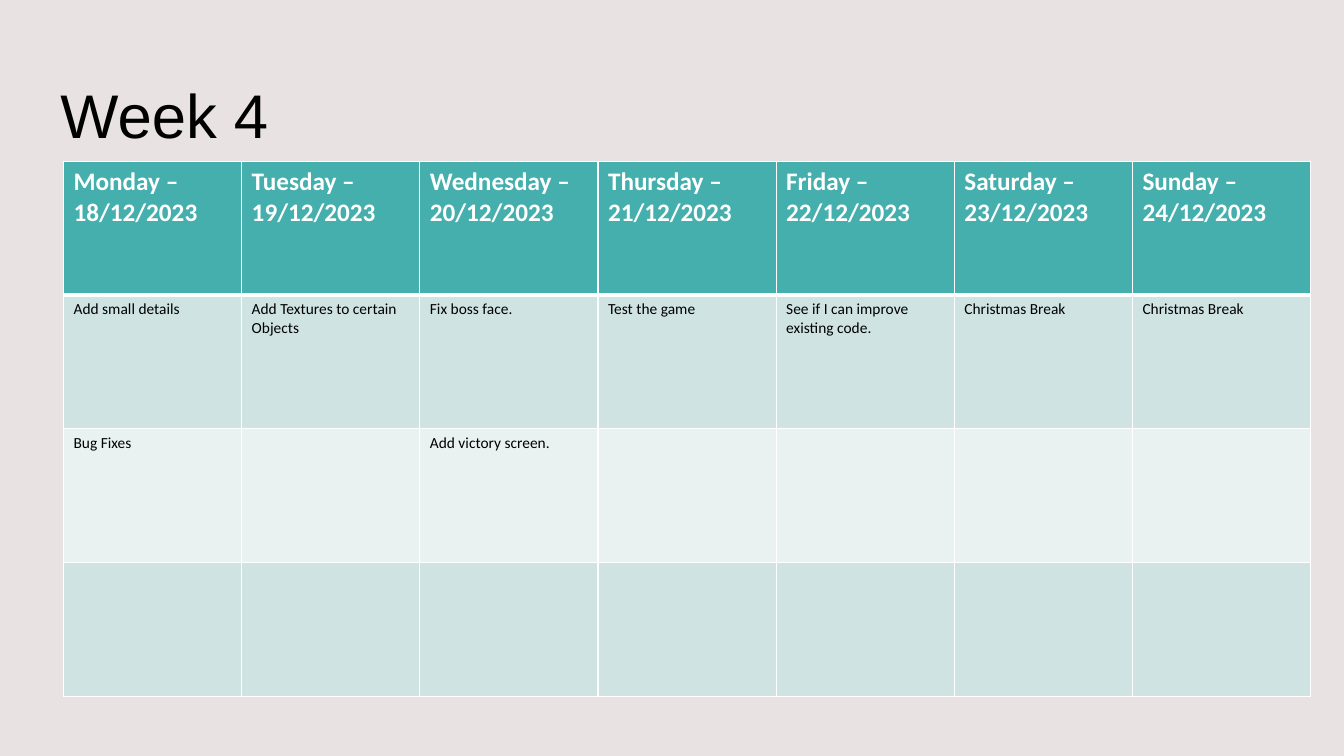
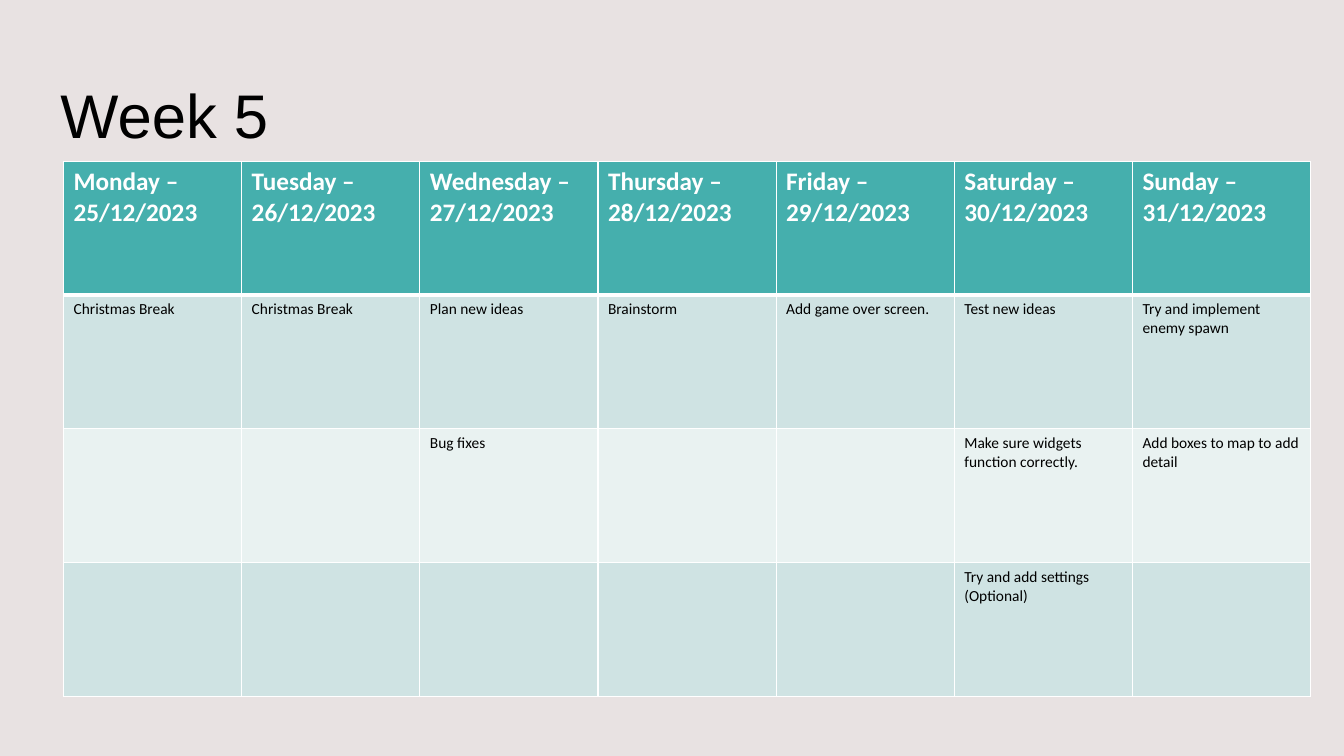
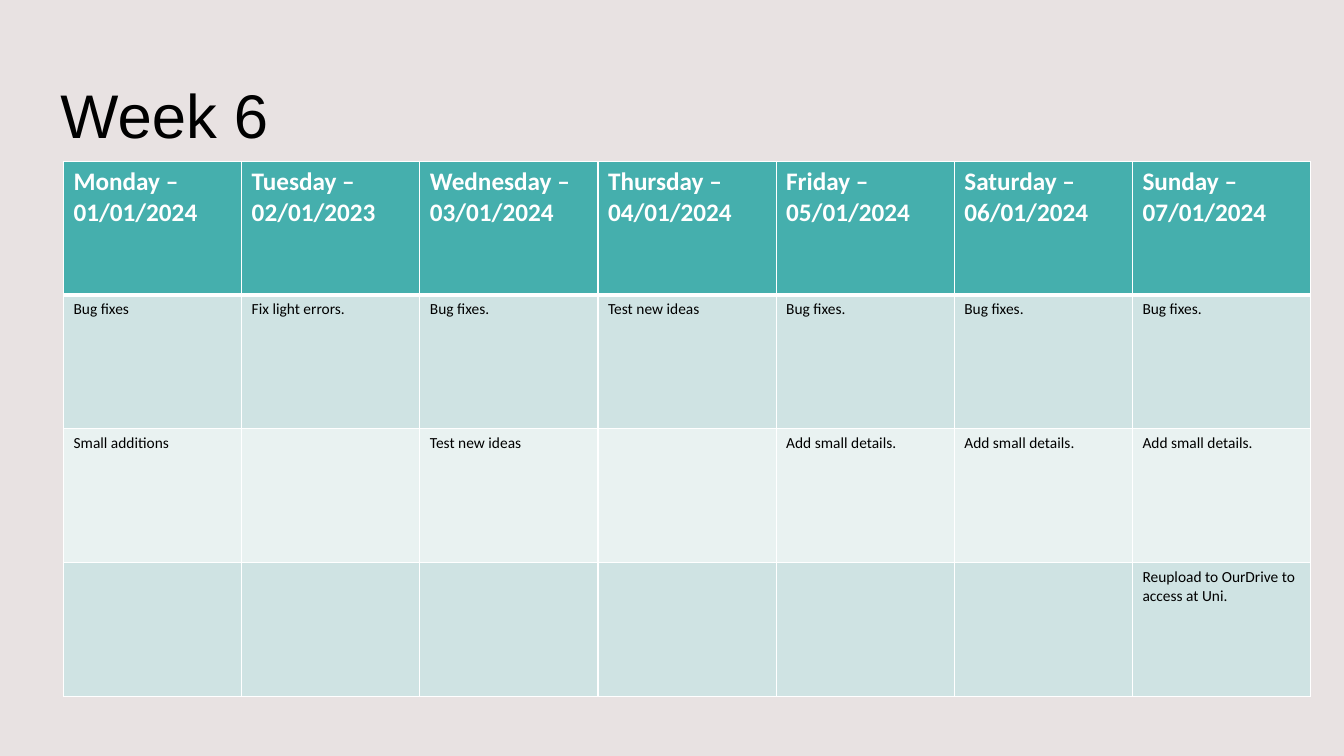
from lxml import etree
from pptx import Presentation
from pptx import util as u
from pptx.dml import color
from pptx.enum import text
from pptx.oxml import ns

DAYS = ["Monday", "Tuesday", "Wednesday", "Thursday", "Friday", "Saturday", "Sunday"]
BACKGROUND = "E8E2E2"
BORDER = "FFFFFF"
HEADER_FILL = "45AFAD"
BODY_FILLS = ["E9F2F1", "CFE3E3"]
TITLE_BOX = (0.5, 0.4, 11.92, 1.45)
TABLE_BOX = (0.63, 1.6, 12.37, 5.31)
THIN, THICK = 1, 3

TITLE_FONT = {"name": "Arial", "size": u.Pt(44), "bold": False, "color": "000000"}
HEADER_FONT = {"name": "Calibri", "size": u.Pt(18), "bold": True, "color": "FFFFFF"}
BODY_FONT = {"name": "Calibri", "size": u.Pt(11), "bold": False, "color": "000000"}
TITLE_FRAME = {"word_wrap": True, "vertical_anchor": text.MSO_ANCHOR.MIDDLE}

WEEKS = [
    (
        "Week 4",
        ["18/12/2023", "19/12/2023", "20/12/2023", "21/12/2023",
         "22/12/2023", "23/12/2023", "24/12/2023"],
        [
            ["Add small details", "Add Textures to certain Objects", "Fix boss face.",
             "Test the game", "See if I can improve existing code.",
             "Christmas Break", "Christmas Break"],
            ["Bug Fixes", "", "Add victory screen.", "", "", "", ""],
            [""] * 7,
        ],
    ),
    (
        "Week 5",
        ["25/12/2023", "26/12/2023", "27/12/2023", "28/12/2023",
         "29/12/2023", "30/12/2023", "31/12/2023"],
        [
            ["Christmas Break", "Christmas Break", "Plan new ideas", "Brainstorm",
             "Add game over screen.", "Test new ideas", "Try and implement enemy spawn"],
            ["", "", "Bug fixes", "", "", "Make sure widgets function correctly.",
             "Add boxes to map to add detail"],
            ["", "", "", "", "", "Try and add settings (Optional)", ""],
        ],
    ),
    (
        "Week 6",
        ["01/01/2024", "02/01/2023", "03/01/2024", "04/01/2024",
         "05/01/2024", "06/01/2024", "07/01/2024"],
        [
            ["Bug fixes", "Fix light errors.", "Bug fixes.", "Test new ideas",
             "Bug fixes.", "Bug fixes.", "Bug fixes."],
            ["Small additions", "", "Test new ideas", "",
             "Add small details.", "Add small details.", "Add small details."],
            ["", "", "", "", "", "", "Reupload to OurDrive to access at Uni."],
        ],
    ),
]


def rgb(value):
    return color.RGBColor.from_string(value)


def set_fill(fill, value):
    fill.solid()
    fill.fore_color.rgb = rgb(value)


def apply_format(target, values):
    for name, value in values.items():
        if name == "color":
            target.color.rgb = rgb(value)
        else:
            setattr(target, name, value)


def add_run(paragraph, words, font):
    run = paragraph.add_run()
    run.text = words
    apply_format(run.font, font)


def set_borders(cell, widths):
    properties = cell._tc.get_or_add_tcPr()
    for side, width in widths.items():
        line = etree.SubElement(properties, ns.qn(f"a:ln{side}"), w=str(u.Pt(width)))
        fill = etree.SubElement(line, ns.qn("a:solidFill"))
        etree.SubElement(fill, ns.qn("a:srgbClr"), val=BORDER)


def format_cell(cell, row, words):
    header = row == 0
    set_borders(cell, {
        "L": THIN,
        "R": THIN,
        "T": THICK if row == 1 else THIN,
        "B": THICK if header else THIN,
    })
    set_fill(cell.fill, HEADER_FILL if header else BODY_FILLS[row % 2])
    if words:
        paragraph = cell.text_frame.paragraphs[0]
        add_run(paragraph, words, HEADER_FONT if header else BODY_FONT)


def set_title(slide, words):
    title = slide.shapes.title
    box = zip(("left", "top", "width", "height"), map(u.Inches, TITLE_BOX))
    apply_format(title, dict(box))
    apply_format(title.text_frame, TITLE_FRAME)
    paragraph = title.text_frame.paragraphs[0]
    paragraph.alignment = text.PP_ALIGN.LEFT
    add_run(paragraph, words, TITLE_FONT)


def add_schedule(slide, rows):
    box = map(u.Inches, TABLE_BOX)
    table = slide.shapes.add_table(len(rows), len(DAYS), *box).table
    for row, entries in enumerate(rows):
        for column, words in enumerate(entries):
            format_cell(table.cell(row, column), row, words)


def add_week(presentation, title, dates, tasks):
    slide = presentation.slides.add_slide(presentation.slide_layouts[5])
    set_title(slide, title)
    header = [f"{day} – {date}" for day, date in zip(DAYS, dates)]
    add_schedule(slide, [header] + tasks)


def main():
    presentation = Presentation()
    presentation.slide_width = u.Inches(13.33)
    presentation.slide_height = u.Inches(7.5)
    set_fill(presentation.slide_master.background.fill, BACKGROUND)
    for week in WEEKS:
        add_week(presentation, *week)
    presentation.save("out.pptx")


if __name__ == "__main__":
    main()
